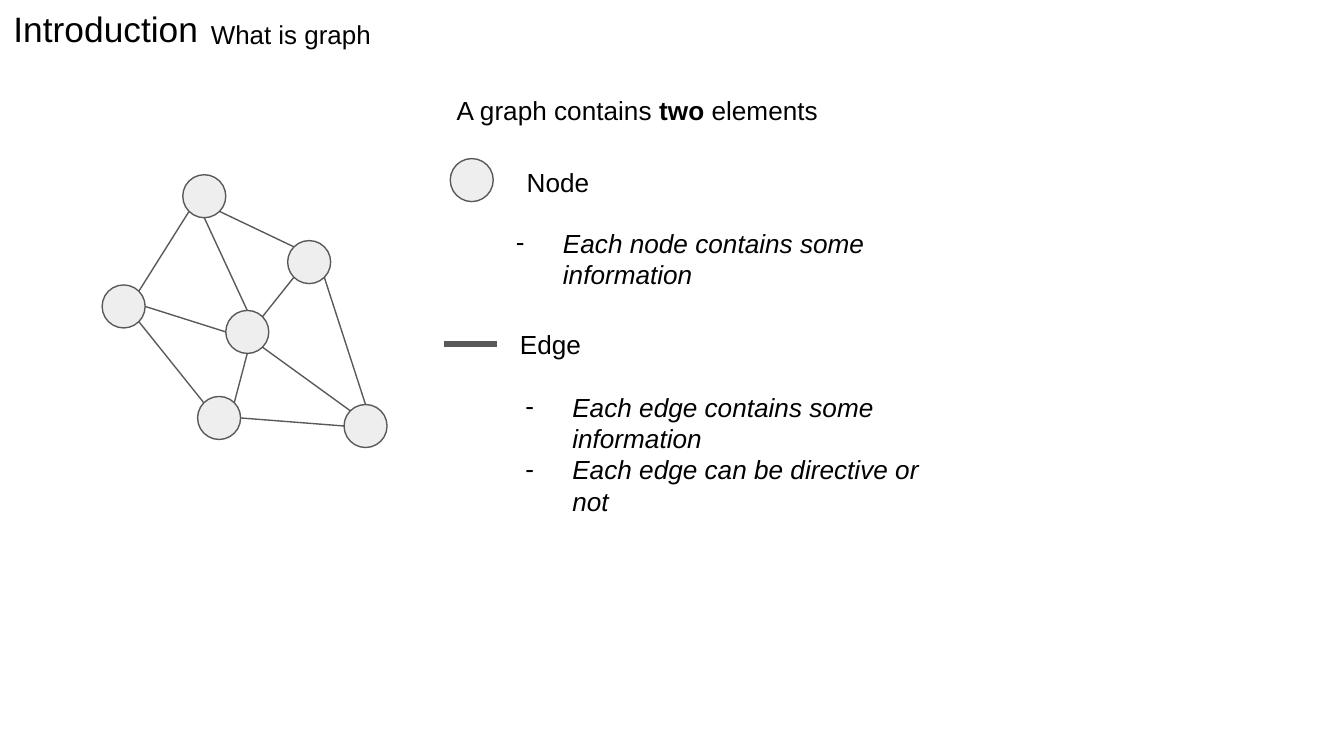
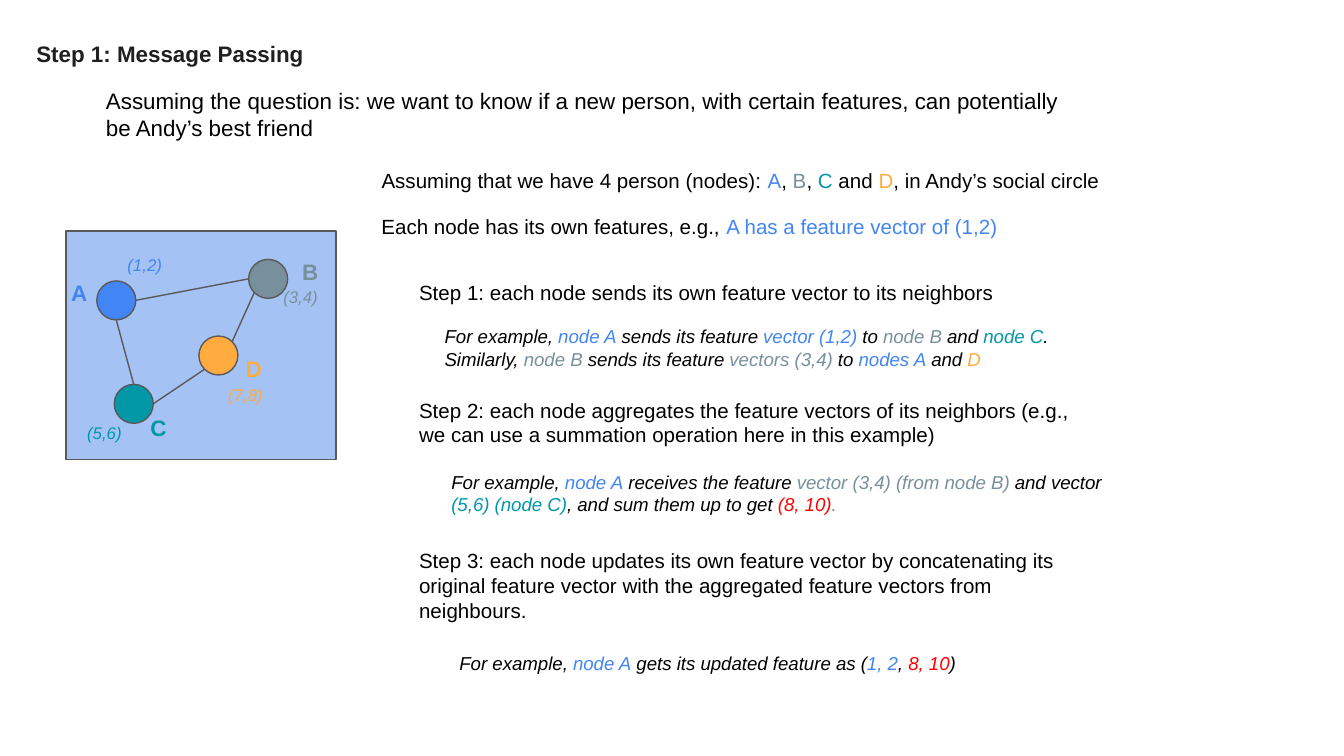
from math import cos, radians, sin

from lxml.etree import SubElement
from pptx import Presentation
from pptx.dml.color import RGBColor
from pptx.enum.shapes import MSO_CONNECTOR, MSO_SHAPE
from pptx.enum.text import MSO_ANCHOR, MSO_AUTO_SIZE, PP_ALIGN
from pptx.oxml.ns import qn
from pptx.util import Inches, Pt

FONT = "Arial"
BLACK, INK, OUTLINE, PALE, RED = "000000", "1F1F1F", "595959", "EEEEEE", "FF0000"
PANEL_BLUE = "A4C2F4"
PERSON = {"A": "4285F4", "B": "78909C", "C": "0097A7", "D": "FFAB40"}
ANGLES = {"E": 0, "SE": 45, "S": 90, "SW": 135, "W": 180, "NW": 225, "N": 270, "NE": 315}


def rgb(value):
    return RGBColor.from_string(value)


def write(frame, paragraphs, size, colour=BLACK, bold=False, italic=False,
          anchor=MSO_ANCHOR.TOP, auto_size=MSO_AUTO_SIZE.SHAPE_TO_FIT_TEXT):
    frame.word_wrap = True
    frame.auto_size = auto_size
    frame.vertical_anchor = anchor
    frame.margin_left = frame.margin_right = Inches(0.1)
    frame.margin_top = frame.margin_bottom = Inches(0.1)
    for number, pieces in enumerate(paragraphs):
        paragraph = frame.add_paragraph() if number else frame.paragraphs[0]
        paragraph.alignment = PP_ALIGN.LEFT
        for piece in pieces:
            text, look = piece if isinstance(piece, tuple) else (piece, colour)
            run = paragraph.add_run()
            run.text = text
            run.font.name = FONT
            run.font.size = Pt(size)
            run.font.bold = bold or look == "bold"
            run.font.italic = italic
            run.font.color.rgb = rgb(colour if look == "bold" else look)


def add_text(slide, left, top, width, height, paragraphs, size, **style):
    box = slide.shapes.add_textbox(*map(Inches, (left, top, width, height)))
    write(box.text_frame, paragraphs, size, **style)
    return box.text_frame


def set_title(slide, left, top, width, height, text, size, **style):
    title = slide.shapes.title
    title.left, title.top = Inches(left), Inches(top)
    title.width, title.height = Inches(width), Inches(height)
    write(title.text_frame, [[text]], size, **style)
    return title.text_frame


def add_bullets(slide, left, top, width, height, items):
    frame = add_text(slide, left, top, width, height,
                     [[item] for item in items], 14, italic=True)
    for paragraph in frame.paragraphs:
        properties = paragraph._p.get_or_add_pPr()
        properties.set("marL", str(Inches(0.5)))
        properties.set("indent", str(Inches(-0.35)))
        bullet_colour = SubElement(properties, qn("a:buClr"))
        SubElement(bullet_colour, qn("a:srgbClr"), val=BLACK)
        SubElement(properties, qn("a:buFont"), typeface=FONT)
        SubElement(properties, qn("a:buChar"), char="-")


def add_outlined(slide, preset, left, top, width, height, fill):
    shape = slide.shapes.add_shape(preset, *map(Inches, (left, top, width, height)))
    shape.shadow.inherit = False
    shape.fill.solid()
    shape.fill.fore_color.rgb = rgb(fill)
    shape.line.color.rgb = rgb(OUTLINE)
    shape.line.width = Pt(0.75)


def add_edge(slide, start, end, weight=0.75):
    edge = slide.shapes.add_connector(MSO_CONNECTOR.STRAIGHT, *map(Inches, (*start, *end)))
    edge.line.color.rgb = rgb(OUTLINE)
    edge.line.width = Pt(weight)
    SubElement(edge._element.spPr, qn("a:effectLst"))


def draw_graph(slide, left, top, diameter, nodes, edges):
    radius = diameter / 2

    def rim(name, side):
        x, y, _ = nodes[name]
        angle = radians(ANGLES[side])
        return (left + x + radius + radius * cos(angle),
                top + y + radius + radius * sin(angle))

    for x, y, fill in nodes.values():
        add_outlined(slide, MSO_SHAPE.OVAL, left + x, top + y, diameter, diameter, fill)
    for start, start_side, end, end_side in edges:
        add_edge(slide, rim(start, start_side), rim(end, end_side))


def sample_graph(slide, left, top):
    places = {
        "top": (0.6, 0), "centre": (0.92, 1.01), "right": (1.38, 0.49),
        "bottom": (0.71, 1.65), "corner": (1.8, 1.71), "left": (0, 0.82),
    }
    edges = [
        ("top", "SW", "left", "NE"),
        ("left", "SE", "bottom", "NW"),
        ("bottom", "E", "corner", "W"),
        ("corner", "N", "right", "SE"),
        ("right", "NW", "top", "SE"),
        ("top", "S", "centre", "N"),
        ("centre", "S", "bottom", "NE"),
        ("centre", "SE", "corner", "NW"),
        ("centre", "NE", "right", "SW"),
        ("centre", "W", "left", "E"),
    ]
    nodes = {name: (*place, PALE) for name, place in places.items()}
    draw_graph(slide, left, top, 0.32, nodes, edges)


def graph_elements(slide, left, top):
    add_text(slide, left, top, 5.46, 0.44,
             [["A graph contains ", ("two", "bold"), " elements"]], 14)
    add_outlined(slide, MSO_SHAPE.OVAL, left + 0.05, top + 0.58, 0.32, 0.32, PALE)
    add_text(slide, left + 0.52, top + 0.54, 3.28, 0.44, [["Node"]], 14)
    add_edge(slide, (left + 0.4, top + 1.96), (left, top + 1.96), 3)
    add_text(slide, left + 0.47, top + 1.74, 3.28, 0.44, [["Edge"]], 14)
    add_bullets(slide, left + 0.29, top + 0.99, 3.28, 0.67,
                ["Each node contains some information"])
    add_bullets(slide, left + 0.36, top + 2.21, 3.28, 1.14,
                ["Each edge contains some information",
                 "Each edge can be directive or not"])


def social_circle(slide, left, top):
    add_outlined(slide, MSO_SHAPE.RECTANGLE, left, top, 2.01, 1.7, PANEL_BLUE)
    places = {"A": (0.23, 0.37), "B": (1.36, 0.21), "D": (0.99, 0.78), "C": (0.36, 1.14)}
    edges = [
        ("A", "S", "C", "N"),
        ("C", "E", "D", "SW"),
        ("D", "NE", "B", "SW"),
        ("A", "E", "B", "W"),
    ]
    nodes = {name: (*place, PERSON[name]) for name, place in places.items()}
    draw_graph(slide, left, top, 0.29, nodes, edges)
    labels = [
        ("A", -0.06, 0.26, "(1,2)", 0.36, 0.1),
        ("B", 1.66, 0.1, "(3,4)", 1.52, 0.34),
        ("C", 0.53, 1.26, "(5,6)", 0.06, 1.35),
        ("D", 1.24, 0.82, "(7,8)", 1.11, 1.07),
    ]
    for name, name_x, name_y, vector, vector_x, vector_y in labels:
        add_text(slide, left + name_x, top + name_y, 0.29, 0.4,
                 [[name]], 12, colour=PERSON[name], bold=True)
        add_text(slide, left + vector_x, top + vector_y, 0.56, 0.35,
                 [[vector]], 9, colour=PERSON[name], italic=True)


def assumptions(slide, left, top):
    a, b, c, d = PERSON.items()
    add_text(slide, left, top, 6.12, 0.39,
             [["Assuming that we have 4 person (nodes): ", a, ", ", b, ", ", c,
               " and ", d, ", in Andy’s social circle"]], 11)
    add_text(slide, left, top + 0.34, 5.4, 0.39,
             [["Each node has its own features, e.g., ",
               ("A has a feature vector of (1,2)", PERSON["A"])]], 11)


def passing_steps(slide, left, top):
    a, b, c, d = PERSON.values()
    node_a = ("node A", a)
    steps = [
        (0, 0.39, "Step 1: each node sends its own feature vector to its neighbors"),
        (0.87, 0.57, "Step 2: each node aggregates the feature vectors of its neighbors "
                     "(e.g., we can use a summation operation here in this example)"),
        (1.99, 0.76, "Step 3: each node updates its own feature vector by concatenating its "
                     "original feature vector with the aggregated feature vectors from "
                     "neighbours."),
    ]
    examples = [
        (0.19, 0.33, 0.54,
         [" sends its feature ", ("vector (1,2)", a), " to ", ("node B ", b), "and ",
          ("node C", c), ". Similarly, ", ("node B", b), " sends its feature ",
          ("vectors (3,4)", b), " to ", ("nodes A", a), " and ", ("D", d)]),
        (0.24, 1.41, 0.54,
         [" receives the feature ", ("vector (3,4) (from node B) ", b), "and vector ",
          ("(5,6) (node C)", c), ", and sum them up to get ", ("(8, 10)", RED), (".", b)]),
        (0.3, 2.78, 0.37,
         [" gets its updated feature as (", ("1, 2", a), ", ", ("8, 10", RED), ")"]),
    ]
    for (y, height, step), (note_x, note_y, note_height, pieces) in zip(steps, examples):
        add_text(slide, left, top + y, 5.06, height, [[step]], 11)
        add_text(slide, left + note_x, top + note_y, 5.06, note_height,
                 [["For example, ", node_a, *pieces]], 10, italic=True)


def introduction_slide(slide):
    heading = {"anchor": MSO_ANCHOR.BOTTOM, "auto_size": MSO_AUTO_SIZE.NONE}
    set_title(slide, 0, 0, 2.05, 0.47, "Introduction", 18.9, **heading)
    add_text(slide, 1.47, 0, 2.05, 0.47, [["What is graph"]], 13.9, **heading)
    sample_graph(slide, 0.76, 1.3)
    graph_elements(slide, 3.3, 0.6)


def message_passing_slide(slide):
    title = set_title(slide, 0.17, 0.17, 5.68, 0.4, "Step 1: Message Passing", 12,
                      colour=INK, bold=True)
    title.paragraphs[0].line_spacing = 1.15
    title.paragraphs[0].space_after = Pt(18)
    social_circle(slide, 0.49, 1.72)
    assumptions(slide, 2.74, 1.16)
    passing_steps(slide, 3.02, 1.99)
    add_text(slide, 0.69, 0.55, 7.46, 0.61,
             [["Assuming the question is: we want to know if a new person, with certain "
               "features, can potentially be Andy’s best friend"]], 12)


def main():
    deck = Presentation()
    deck.slide_width = Inches(10)
    deck.slide_height = Inches(10 * 9 / 16)
    title_only = deck.slide_layouts[5]
    for build in (introduction_slide, message_passing_slide):
        build(deck.slides.add_slide(title_only))
    deck.save("out.pptx")


if __name__ == "__main__":
    main()
